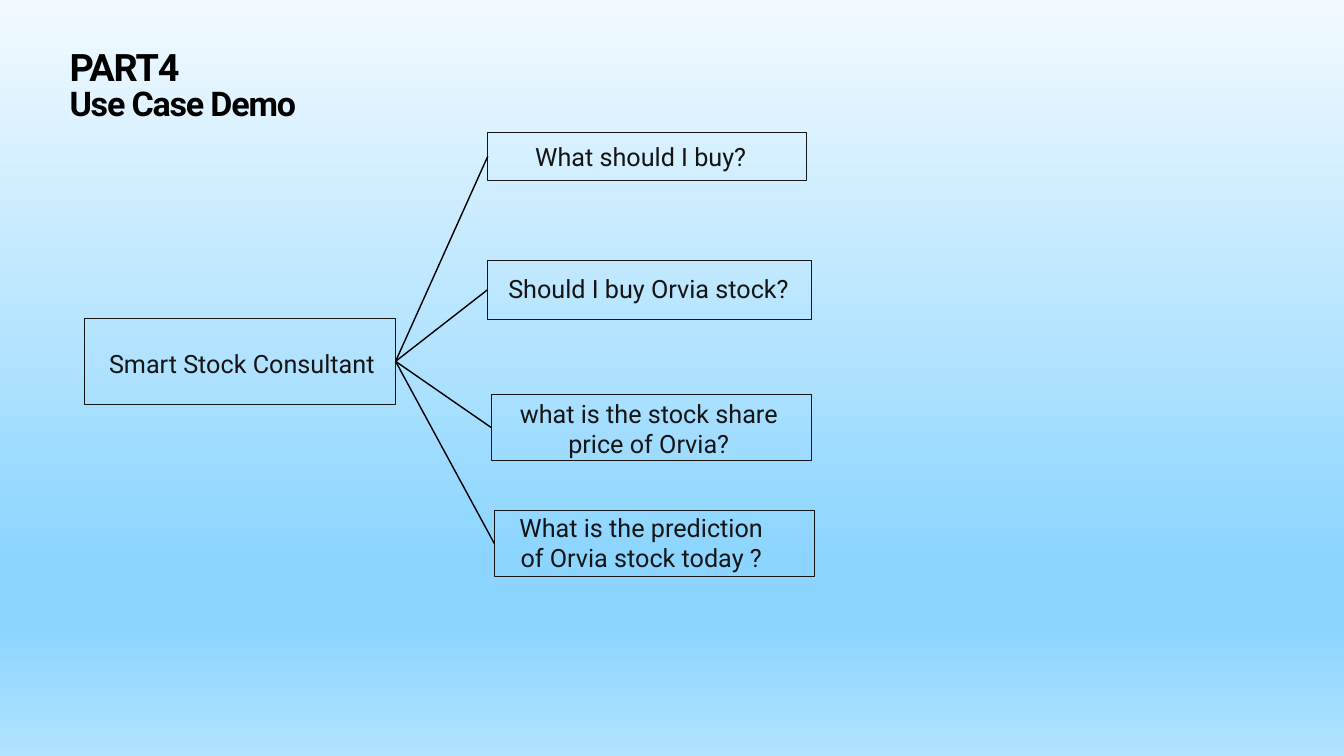
"""Builds the use case demo slide with one consultant and four questions."""
from lxml import etree
from pptx import Presentation
from pptx.dml.color import RGBColor
from pptx.enum.shapes import MSO_CONNECTOR, MSO_SHAPE
from pptx.enum.text import MSO_ANCHOR, PP_ALIGN
from pptx.oxml.ns import qn
from pptx.util import Inches, Pt

INK = "151515"
BLACK = "000000"
BACKGROUND_STOPS = [(0, "F2FAFF"), (74, "8CD5FF"), (83, "8CD5FF"), (100, "B2E3FF")]
CONSULTANT = ((1.67, 6.32, 6.18, 1.7), (1.76, 6.85, 6.08, 0.72), "Smart Stock Consultant")
QUESTIONS = [
    ((9.68, 2.62, 6.33, 0.96), (9.81, 2.74, 5.81, 0.71), "What should I buy?"),
    ((9.68, 5.16, 6.42, 1.17), (9.86, 5.36, 6.02, 0.72), "Should I buy Orvia stock?"),
    ((9.75, 7.83, 6.36, 1.31), (9.92, 7.84, 5.91, 1.32),
     "what is the stock share\nprice of Orvia?"),
    ((9.81, 10.13, 6.36, 1.31), (10, 10.1, 5.45, 1.32),
     "What is the prediction\nof Orvia stock today ?"),
]
RIGHT_SITE, LEFT_SITE = 3, 1


def color(hex_string):
    return RGBColor.from_string(hex_string)


def set_background(slide):
    fill = slide.background.fill
    fill.gradient()
    fill.gradient_angle = 270
    stop_list = next(slide.background._cSld.iter(qn("a:gsLst")))
    for stop in list(stop_list):
        stop_list.remove(stop)
    for position, hex_string in BACKGROUND_STOPS:
        stop = etree.SubElement(stop_list, qn("a:gs"), pos=str(position * 1000))
        etree.SubElement(stop, qn("a:srgbClr"), val=hex_string)


def add_text(slide, area, text, size=36, hex_string=INK, bold=False,
             align=PP_ALIGN.CENTER, spacing=None, line_spacing=None):
    frame = slide.shapes.add_textbox(*map(Inches, area)).text_frame
    frame.word_wrap = True
    frame.vertical_anchor = MSO_ANCHOR.MIDDLE
    frame.margin_left = frame.margin_right = Inches(0.06)
    frame.margin_top = frame.margin_bottom = Inches(0.06)
    frame.text = text
    for paragraph in frame.paragraphs:
        paragraph.alignment = align
        paragraph.line_spacing = line_spacing
        for run in paragraph.runs:
            run.font.name = "Roboto"
            run.font.size = Pt(size)
            run.font.bold = bold
            run.font.color.rgb = color(hex_string)
            if spacing is not None:
                run.font._element.set("spc", str(round(spacing * 100)))


def add_box(slide, area):
    box = slide.shapes.add_shape(MSO_SHAPE.RECTANGLE, *map(Inches, area))
    box.shadow.inherit = False
    box.fill.background()
    box.line.color.rgb = color(INK)
    box.line.width = Pt(1)
    return box


def add_labelled_box(slide, box_area, text_area, text):
    box = add_box(slide, box_area)
    add_text(slide, text_area, text)
    return box


def connect(slide, source, target):
    line = slide.shapes.add_connector(MSO_CONNECTOR.STRAIGHT, 0, 0, 0, 0)
    line.begin_connect(source, RIGHT_SITE)
    line.end_connect(target, LEFT_SITE)
    line.line.color.rgb = color(BLACK)
    line.line.width = Pt(2)
    etree.SubElement(line._element.spPr, qn("a:effectLst"))


def main():
    presentation = Presentation()
    presentation.slide_width = Inches(26.67)
    presentation.slide_height = Inches(15)
    slide = presentation.slides.add_slide(presentation.slide_layouts[6])
    set_background(slide)

    heading = dict(hex_string=BLACK, bold=True, align=PP_ALIGN.LEFT, spacing=-1.7)
    add_text(slide, (1.32, 0.81, 7.1, 1.02), "PART4", size=54, **heading)
    add_text(slide, (1.32, 1.75, 24.03, 0.75), "Use Case Demo", size=48.6,
             line_spacing=0.8, **heading)

    consultant = add_labelled_box(slide, *CONSULTANT)
    for question in QUESTIONS:
        connect(slide, consultant, add_labelled_box(slide, *question))

    presentation.save("out.pptx")


main()
